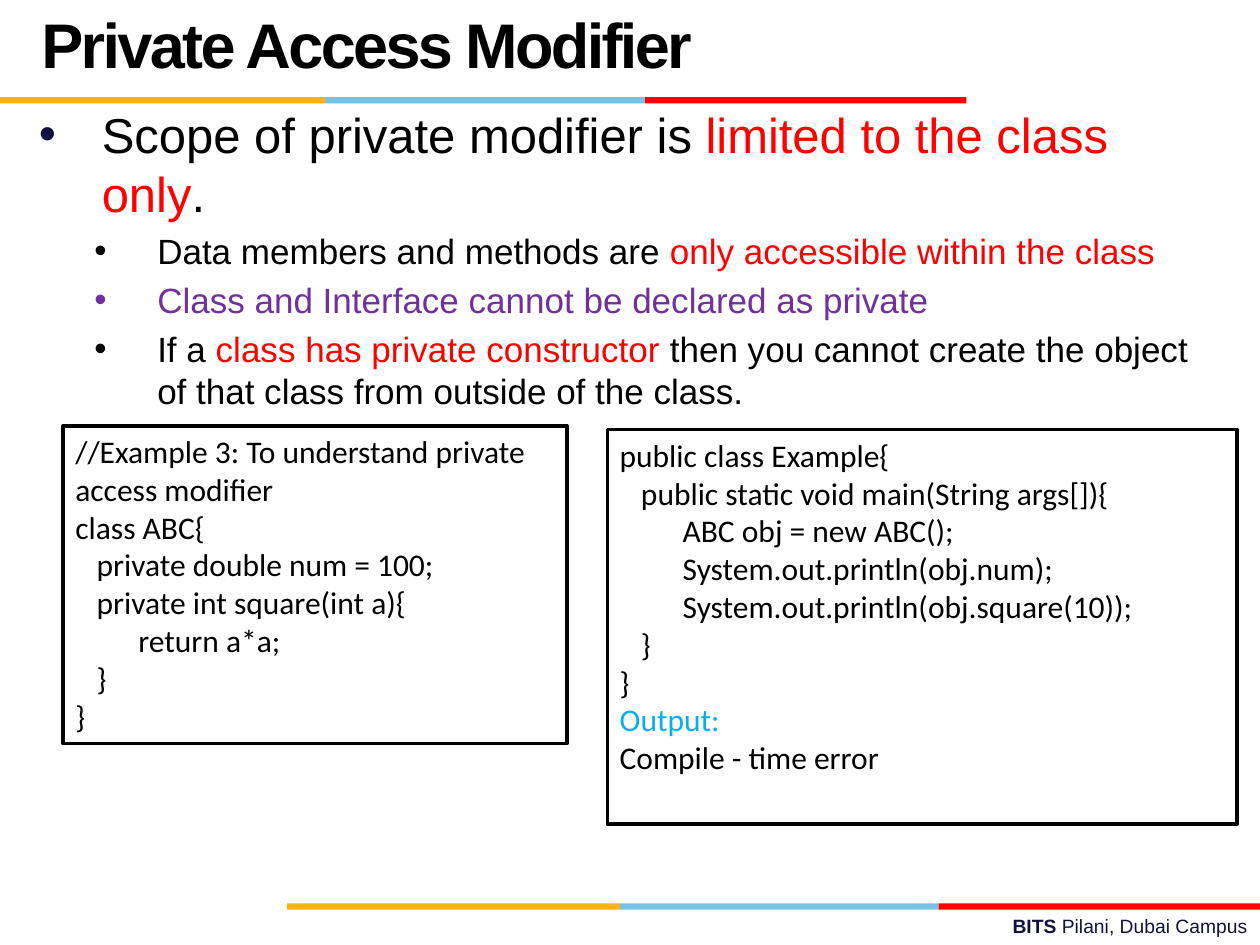
"""Build the slide on Java's private access modifier."""
from dataclasses import dataclass
from typing import NamedTuple

from lxml import etree
from pptx import Presentation
from pptx.dml.color import RGBColor
from pptx.enum.shapes import MSO_SHAPE
from pptx.enum.text import MSO_ANCHOR, PP_ALIGN
from pptx.oxml.ns import qn
from pptx.util import Inches, Pt

RECTANGLE = MSO_SHAPE.RECTANGLE
TOP, MIDDLE = MSO_ANCHOR.TOP, MSO_ANCHOR.MIDDLE
LEFT, RIGHT = PP_ALIGN.LEFT, PP_ALIGN.RIGHT
COLUMNS, ROWS = 100, 75
CELL = Inches(0.1)


@dataclass(frozen=True)
class Theme:
    """Colours, fonts and type sizes of the slide."""
    ink: str = "000000"
    paper: str = "FFFFFF"
    navy: str = "101141"
    gold: str = "FCB017"
    sky: str = "76C2E5"
    red: str = "FF0000"
    purple: str = "7030A0"
    cyan: str = "00B0F0"
    sans: str = "Arial"
    code: str = "Calibri"
    title_size: int = 36
    scope_size: int = 28
    detail_size: int = 20
    code_size: int = 18
    footer_size: int = 11


THEME = Theme()


class Area(NamedTuple):
    """A place on the grid of columns and rows."""
    column: float
    row: float
    columns: float
    rows: float

    def emu(self) -> list[int]:
        """Return left, top, width and height in slide units."""
        return [round(cells * CELL) for cells in self]


class Span(NamedTuple):
    """A run of text in one colour."""
    text: str
    color: str = THEME.ink
    bold: bool = False


class Point(NamedTuple):
    """A bulleted statement."""
    spans: list[Span]
    size: int
    indent: float
    bullet_color: str


def write(paragraph, spans: list[Span], font: str, size: int) -> None:
    """Add the spans to a paragraph, run by run."""
    for span in spans:
        run = paragraph.add_run()
        run.text = span.text
        run.font.name, run.font.size, run.font.bold = font, Pt(size), span.bold
        run.font.color.rgb = RGBColor.from_string(span.color)


def add_text(slide, area: Area, anchor=TOP):
    """Add a wrapping text box and return its frame."""
    frame = slide.shapes.add_textbox(*area.emu()).text_frame
    frame.word_wrap, frame.vertical_anchor = True, anchor
    return frame


def add_rectangle(slide, area: Area, color: str):
    """Add a plain filled rectangle without an outline."""
    rectangle = slide.shapes.add_shape(RECTANGLE, *area.emu())
    rectangle.shadow.inherit = False
    rectangle.fill.solid()
    rectangle.fill.fore_color.rgb = RGBColor.from_string(color)
    rectangle.line.fill.background()
    return rectangle


def add_stripe(slide, row: float, edges: list[float]) -> None:
    """Add a three-colour stripe whose parts meet at the edges."""
    colors = (THEME.gold, THEME.sky, THEME.red)
    for start, end, color in zip(edges, edges[1:], colors):
        add_rectangle(slide, Area(start, row, end - start, 0.5), color)


def add_bullet(paragraph, point: Point) -> None:
    """Give a paragraph a hanging bullet."""
    properties = paragraph._p.get_or_add_pPr()
    properties.set("marL", str(Inches(point.indent)))
    properties.set("indent", str(-Inches(0.5)))
    color = etree.SubElement(properties, qn("a:buClr"))
    etree.SubElement(color, qn("a:srgbClr"), val=point.bullet_color)
    etree.SubElement(properties, qn("a:buFont"), typeface=THEME.sans)
    etree.SubElement(properties, qn("a:buChar"), char="•")


def add_points(slide, area: Area, points: list[Point]) -> None:
    """Add the bulleted statements."""
    frame = add_text(slide, area)
    for index, point in enumerate(points):
        paragraph = frame.add_paragraph() if index else frame.paragraphs[0]
        add_bullet(paragraph, point)
        paragraph.space_before = Pt(0.2 * point.size if index else 0)
        write(paragraph, point.spans, THEME.sans, point.size)


def add_listing(slide, area: Area, lines: list[Span]) -> None:
    """Add a framed code listing."""
    panel = add_rectangle(slide, area, THEME.paper)
    panel.line.color.rgb = RGBColor.from_string(THEME.ink)
    panel.line.width = Pt(2)
    frame = panel.text_frame
    frame.word_wrap, frame.vertical_anchor = True, TOP
    for index, line in enumerate(lines):
        paragraph = frame.add_paragraph() if index else frame.paragraphs[0]
        paragraph.alignment = LEFT
        write(paragraph, [line], THEME.code, THEME.code_size)


def add_title(slide, area: Area, title: str) -> None:
    """Add the tightly spaced slide title."""
    heading = add_text(slide, area, MIDDLE).paragraphs[0]
    heading.line_spacing = Pt(THEME.title_size)
    write(heading, [Span(title, bold=True)], THEME.sans, THEME.title_size)
    heading.runs[0].font._element.set("spc", "-150")


def add_footer(slide, area: Area) -> None:
    """Add the campus name."""
    campus = add_text(slide, area).paragraphs[0]
    campus.alignment = RIGHT
    write(campus, [Span("BITS ", THEME.navy, True), Span("Pilani, Dubai Campus", THEME.navy)],
          THEME.sans, THEME.footer_size)


def detail(*spans: Span, bullet_color: str = THEME.ink) -> Point:
    """Return a second-level statement."""
    return Point(list(spans), THEME.detail_size, 0.94, bullet_color)


POINTS = [
    Point([Span("Scope of private modifier is "),
           Span("limited to the class only", THEME.red), Span(".")],
          THEME.scope_size, 0.5, THEME.navy),
    detail(Span("Data members and methods are "),
           Span("only accessible within the class", THEME.red)),
    detail(Span("Class and Interface cannot be declared as private", THEME.purple),
           bullet_color=THEME.purple),
    detail(Span("If a "), Span("class has private constructor ", THEME.red),
           Span("then you cannot create the object of that class from outside of the class.")),
]
PRIVATE_CLASS = """//Example 3: To understand private access modifier
class ABC{
   private double num = 100;
   private int square(int a){
\treturn a*a;
   }
}"""
CALLER_CLASS = """public class Example{
   public static void main(String args[]){
\tABC obj = new ABC();
\tSystem.out.println(obj.num);
\tSystem.out.println(obj.square(10));
   }
}"""
OUTCOME = [Span("Output:", THEME.cyan), Span("Compile - time error")]


def main() -> None:
    """Build and save the slide."""
    deck = Presentation()
    deck.slide_width, deck.slide_height = COLUMNS * CELL, ROWS * CELL
    slide = deck.slides.add_slide(deck.slide_layouts[6])
    add_footer(slide, Area(35.8, 72.1, 64.2, 2.9))
    add_stripe(slide, 71.7, [22.8, 49.2, 74.5, COLUMNS])
    add_stripe(slide, 7.7, [0, 25.8, 51.2, 76.7])
    add_points(slide, Area(2.1, 7.8, 96, 66.4), POINTS)
    add_title(slide, Area(2.3, 1.9, 69.2, 4), "Private Access Modifier")
    add_listing(slide, Area(5, 33.8, 40, 25.2), [Span(line) for line in PRIVATE_CLASS.splitlines()])
    add_listing(slide, Area(48.2, 34.1, 50, 31.3),
                [Span(line) for line in CALLER_CLASS.splitlines()] + OUTCOME)
    deck.save("out.pptx")


if __name__ == "__main__":
    main()
